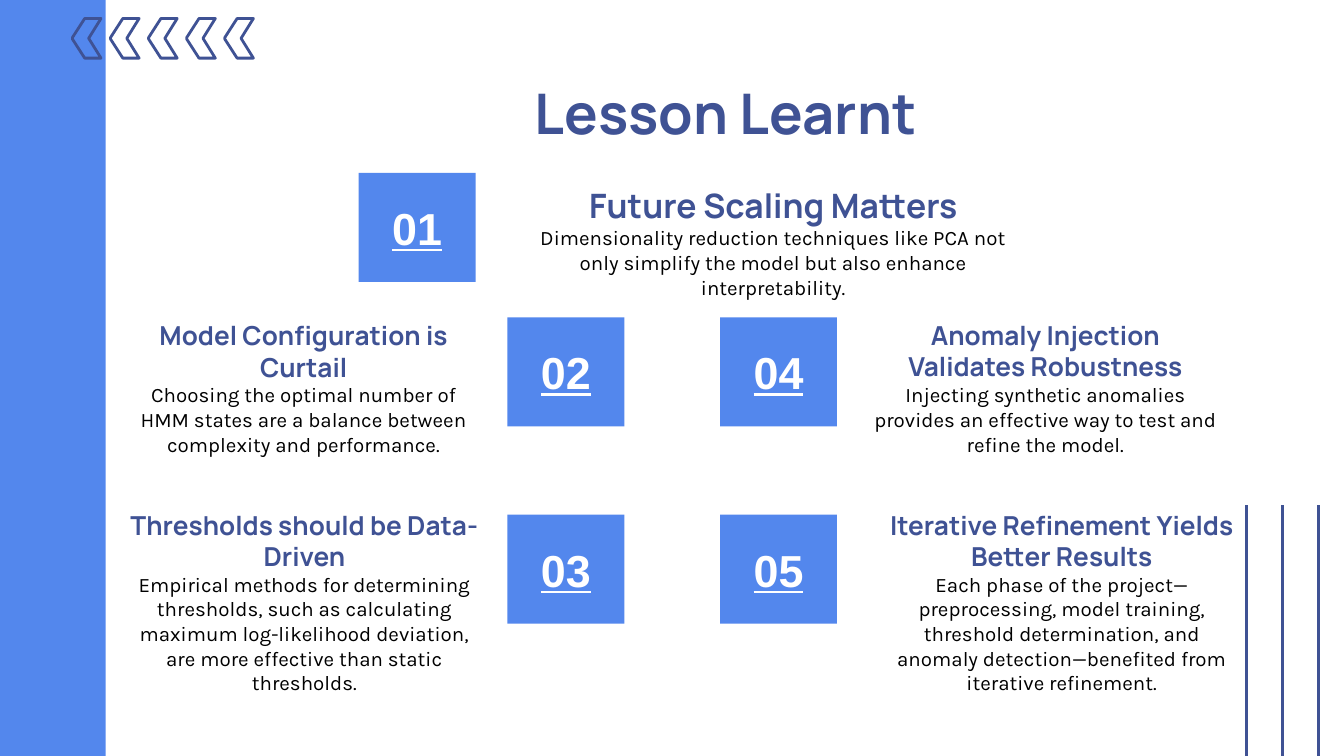
from lxml.etree import SubElement
from pptx import Presentation
from pptx.dml.color import RGBColor
from pptx.enum.shapes import MSO_CONNECTOR, MSO_SHAPE
from pptx.enum.text import MSO_ANCHOR, MSO_AUTO_SIZE, PP_ALIGN
from pptx.oxml.ns import qn
from pptx.util import Cm, Pt

BLUE = RGBColor(0x53, 0x87, 0xED)
NAVY = RGBColor(0x3F, 0x52, 0x94)
BLACK = RGBColor(0, 0, 0)
WHITE = RGBColor(255, 255, 255)
WIDE, HIGH = 25.4, 14.29
TILE = (2.21, 2.06)
CHEVRON = [(1, 0), (0.57, 0.5), (1, 1), (0.43, 1), (0, 0.52), (0, 0.48), (0.43, 0)]

LESSONS = [
    ("01", (6.78, 3.27), (9.6, 3.25, 10.03, 2.36), 18, "Future Scaling Matters",
     "Dimensionality reduction techniques like PCA not only simplify the model "
     "but also enhance interpretability."),
    ("02", (9.59, 6), (2.21, 5.79, 7.06, 2.82), 14, "Model Configuration is Curtail",
     "Choosing the optimal number of HMM states are a balance between complexity "
     "and performance."),
    ("03", (9.59, 9.73), (2.21, 9.37, 7.09, 3.43), 14, "Thresholds should be Data-Driven",
     "Empirical methods for determining thresholds, such as calculating maximum "
     "log-likelihood deviation, are more effective than static thresholds."),
    ("04", (13.61, 6), (16.23, 5.79, 7.06, 2.82), 14, "Anomaly Injection Validates Robustness",
     "Injecting synthetic anomalies provides an effective way to test and refine "
     "the model."),
    ("05", (13.61, 9.73), (16.54, 9.37, 7.06, 4.01), 14, "Iterative Refinement Yields Better Results",
     "Each phase of the project—preprocessing, model training, threshold "
     "determination, and anomaly detection—benefited from iterative refinement."),
]


def place(shape, box):
    shape.left, shape.top, shape.width, shape.height = [Cm(v) for v in box]


def setup(shape, anchor=MSO_ANCHOR.TOP):
    frame = shape.text_frame
    frame.word_wrap = True
    frame.auto_size = MSO_AUTO_SIZE.NONE
    frame.vertical_anchor = anchor
    frame.margin_left = frame.margin_right = Cm(0.25)
    frame.margin_top = frame.margin_bottom = Cm(0.25)
    para = frame.paragraphs[0]
    para.alignment = PP_ALIGN.CENTER
    para.space_before = Pt(0)
    return para


def write(para, text, size=11, font="Karla", color=BLACK, bold=False, under=False):
    run = para.add_run()
    run.text = text
    run.font.size = Pt(size)
    run.font.name = font
    run.font.color.rgb = color
    run.font.bold = bold
    run.font.underline = under


def block(slide, box):
    shape = slide.shapes.add_shape(MSO_SHAPE.RECTANGLE, *[Cm(v) for v in box])
    shape.shadow.inherit = False
    shape.fill.solid()
    shape.fill.fore_color.rgb = BLUE
    shape.line.fill.background()
    return shape


def chevrons(slide, box, count=5, step=0.72):
    left, top, width, height = box
    for i in range(count):
        points = [(Cm(left + i * step + x * width), Cm(top + y * height)) for x, y in CHEVRON]
        pen = slide.shapes.build_freeform(*points[0])
        pen.add_line_segments(points[1:], close=True)
        shape = pen.convert_to_shape()
        shape.shadow.inherit = False
        shape.fill.background()
        shape.line.color.rgb = NAVY
        shape.line.width = Pt(1.5)


def stripes(slide, box, count=3):
    left, top, width, height = box
    for i in range(count):
        x = Cm(left + i * width / (count - 1))
        line = slide.shapes.add_connector(MSO_CONNECTOR.STRAIGHT, x, Cm(top), x, Cm(top + height))
        line.line.color.rgb = NAVY
        line.line.width = Pt(1.5)
        SubElement(line._element.spPr, qn("a:effectLst"))


def heading(slide, box):
    title = slide.shapes.title
    place(title, box)
    write(setup(title), "Lesson Learnt", size=30, font="Manrope", color=NAVY, bold=True)


def lesson(slide, number, spot, box, size, head, body):
    tile = block(slide, (*spot, *TILE))
    write(setup(tile, MSO_ANCHOR.MIDDLE), number,
          size=24, font="Arial", color=WHITE, bold=True, under=True)
    if number == "02":
        shape = slide.placeholders[1]
        place(shape, box)
    else:
        shape = slide.shapes.add_textbox(*[Cm(v) for v in box])
    para = setup(shape)
    write(para, head, size=size, font="Manrope", color=NAVY, bold=True)
    para.add_line_break()
    write(para, body)


def main():
    deck = Presentation()
    deck.slide_width, deck.slide_height = Cm(WIDE), Cm(HIGH)
    slide = deck.slides.add_slide(deck.slide_layouts[0])
    block(slide, (0, 0, 2, HIGH))
    chevrons(slide, (1.37, 0.35, 0.54, 0.75))
    stripes(slide, (23.55, 9.55, 1.37, HIGH - 9.55))
    heading(slide, (2.03, 1.24, 23.37, 1.6))
    for item in LESSONS:
        lesson(slide, *item)
    deck.save("out.pptx")


if __name__ == "__main__":
    main()
